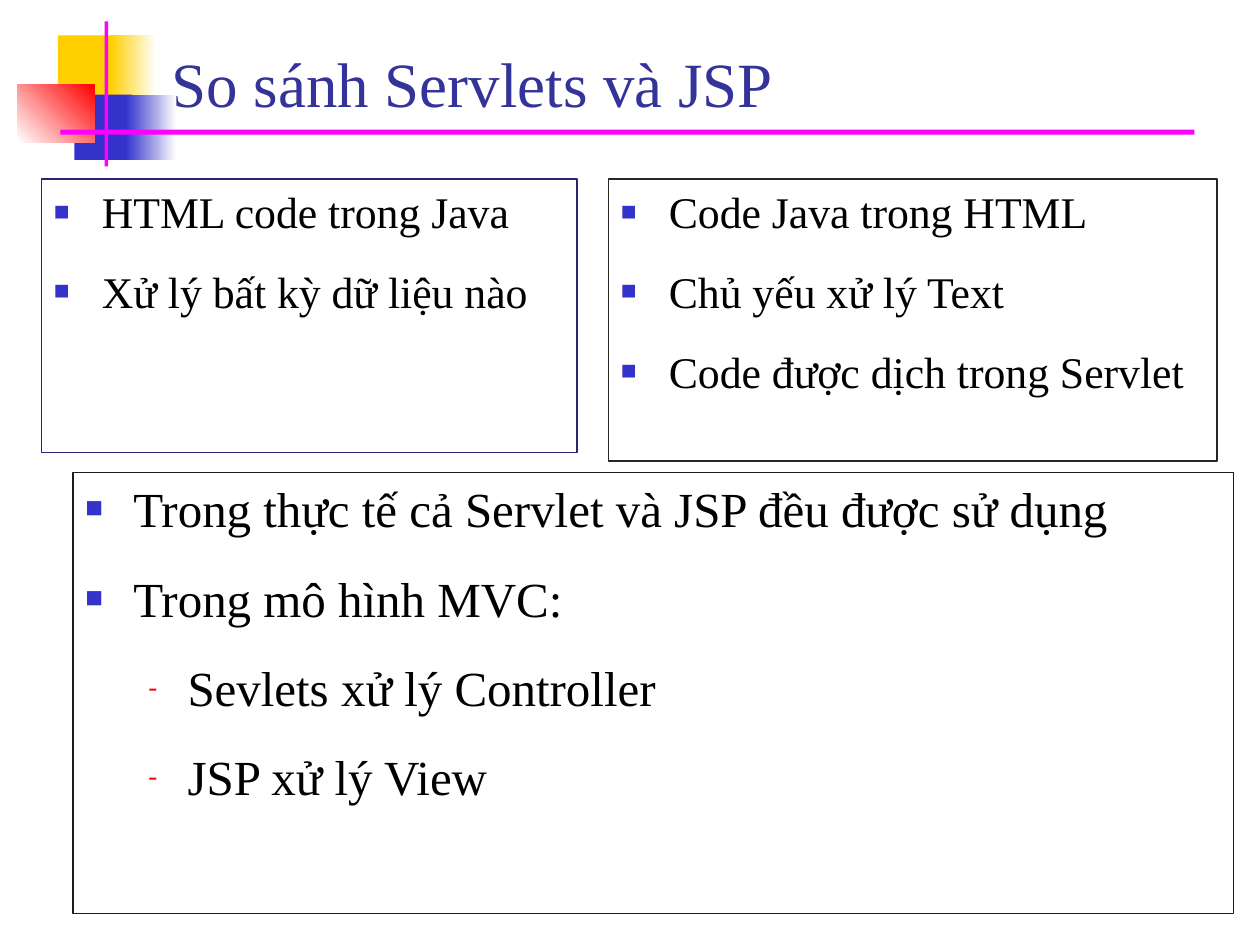
from dataclasses import dataclass

from lxml import etree
from pptx import Presentation, util as u
from pptx.dml.color import RGBColor
from pptx.enum import shapes, text
from pptx.oxml.ns import qn


@dataclass(frozen=True)
class Theme:
    font: str = "Times New Roman"
    gold: str = "FFCF01"
    blue: str = "3333CC"
    red: str = "FF0000"
    pink: str = "FF00FF"
    white: str = "FFFFFF"
    black: str = "000000"
    head: str = "333399"
    navy: str = "262673"
    gray: str = "262626"
    dark: str = "1C1C1C"
    head_size: int = 36
    big: int = 28
    small: int = 25


class Deck:
    """Places elements on a grid of 100 columns by 75 rows."""

    def __init__(self, theme):
        self.theme = theme
        self.prs = Presentation()
        self.prs.slide_width = u.Inches(10)
        self.prs.slide_height = u.Inches(7.5)
        self.col = self.prs.slide_width / 100
        self.row = self.prs.slide_height / 75
        self.slide = self.prs.slides.add_slide(self.prs.slide_layouts[5])

    def place(self, x, y, w, h):
        return (round(x * self.col), round(y * self.row),
                round(w * self.col), round(h * self.row))

    def style(self, para, size, color):
        para.font.name = self.theme.font
        para.font.size = u.Pt(size)
        para.font.color.rgb = RGBColor.from_string(color)

    def block(self, spot, *colors, angle=0):
        """Rectangle with one plain colour or a blend of two."""
        box = self.slide.shapes.add_shape(
            shapes.MSO_SHAPE.RECTANGLE, *self.place(*spot))
        box.shadow.inherit = False
        box.line.fill.background()
        if len(colors) == 1:
            box.fill.solid()
            box.fill.fore_color.rgb = RGBColor.from_string(colors[0])
            return
        box.fill.gradient()
        box.fill.gradient_angle = angle
        for stop, color in zip(box.fill.gradient_stops, colors):
            stop.color.rgb = RGBColor.from_string(color)

    def title(self, spot, words):
        box = self.slide.shapes.title
        box.left, box.top, box.width, box.height = self.place(*spot)
        frame = box.text_frame
        frame.vertical_anchor = text.MSO_ANCHOR.BOTTOM
        frame.text = words
        para = frame.paragraphs[0]
        para.alignment = text.PP_ALIGN.LEFT
        self.style(para, self.theme.head_size, self.theme.head)

    def bullet(self, para, level):
        """Square at the first level, dash at the second."""
        mark, color, share, left, hang = (
            ("■", self.theme.blue, 60, 0.38, 0.38),
            ("-", self.theme.red, 55, 0.81, 0.31))[level]
        para.level = level
        props = para._p.get_or_add_pPr()
        props.set("marL", str(u.Inches(left)))
        props.set("indent", str(-u.Inches(hang)))
        tint = etree.SubElement(props, qn("a:buClr"))
        etree.SubElement(tint, qn("a:srgbClr"), val=color)
        etree.SubElement(props, qn("a:buSzPct"), val=str(share * 1000))
        etree.SubElement(props, qn("a:buFont"), typeface=self.theme.font)
        etree.SubElement(props, qn("a:buChar"), char=mark)

    def panel(self, spot, edge, size, gap, items):
        """Framed list; items are (level, words)."""
        box = self.slide.shapes.add_textbox(*self.place(*spot))
        box.line.color.rgb = RGBColor.from_string(edge)
        box.line.width = u.Pt(0.75)
        frame = box.text_frame
        frame.word_wrap = True
        for i, (level, words) in enumerate(items):
            para = frame.add_paragraph() if i else frame.paragraphs[0]
            para.text = words
            self.bullet(para, level)
            if i:
                para.space_before = u.Pt(gap)
            self.style(para, size, self.theme.black)


def main():
    look = Theme()
    deck = Deck(look)

    # Corner ornament
    deck.block((4.6, 2.8, 4.8, 5.2), look.gold)
    deck.block((8.8, 2.8, 3.6, 5.2), look.gold, look.white)
    deck.block((5.9, 7.5, 4.6, 5.2), look.blue)
    deck.block((10, 7.5, 4, 5.2), look.blue, look.white)
    deck.block((1.4, 6.7, 6.1, 4.6), look.white, look.red, angle=45)
    deck.block((8.3, 1.7, 0.3, 11.5), look.pink)
    deck.block((4.8, 10.3, 90, 0.4), look.pink)

    # Heading
    deck.title((12.6, 2.3, 85.2, 7.7), "So sánh Servlets và JSP")

    # Servlets on the left, JSP on the right
    deck.panel((3.3, 14.2, 42.5, 21.7), look.navy, look.small, 15.6, [
        (0, "HTML code trong Java"),
        (0, "Xử lý bất kỳ dữ liệu nào")])
    deck.panel((48.3, 14.2, 48.3, 22.4), look.gray, look.small, 15.6, [
        (0, "Code Java trong HTML"),
        (0, "Chủ yếu xử lý Text"),
        (0, "Code được dịch trong Servlet")])

    # Both in practice
    deck.panel((5.8, 37.5, 92.1, 35), look.dark, look.big, 17.5, [
        (0, "Trong thực tế cả Servlet và JSP đều được sử dụng"),
        (0, "Trong mô hình MVC:"),
        (1, "Sevlets xử lý Controller"),
        (1, "JSP xử lý View")])

    deck.prs.save("out.pptx")


if __name__ == "__main__":
    main()
